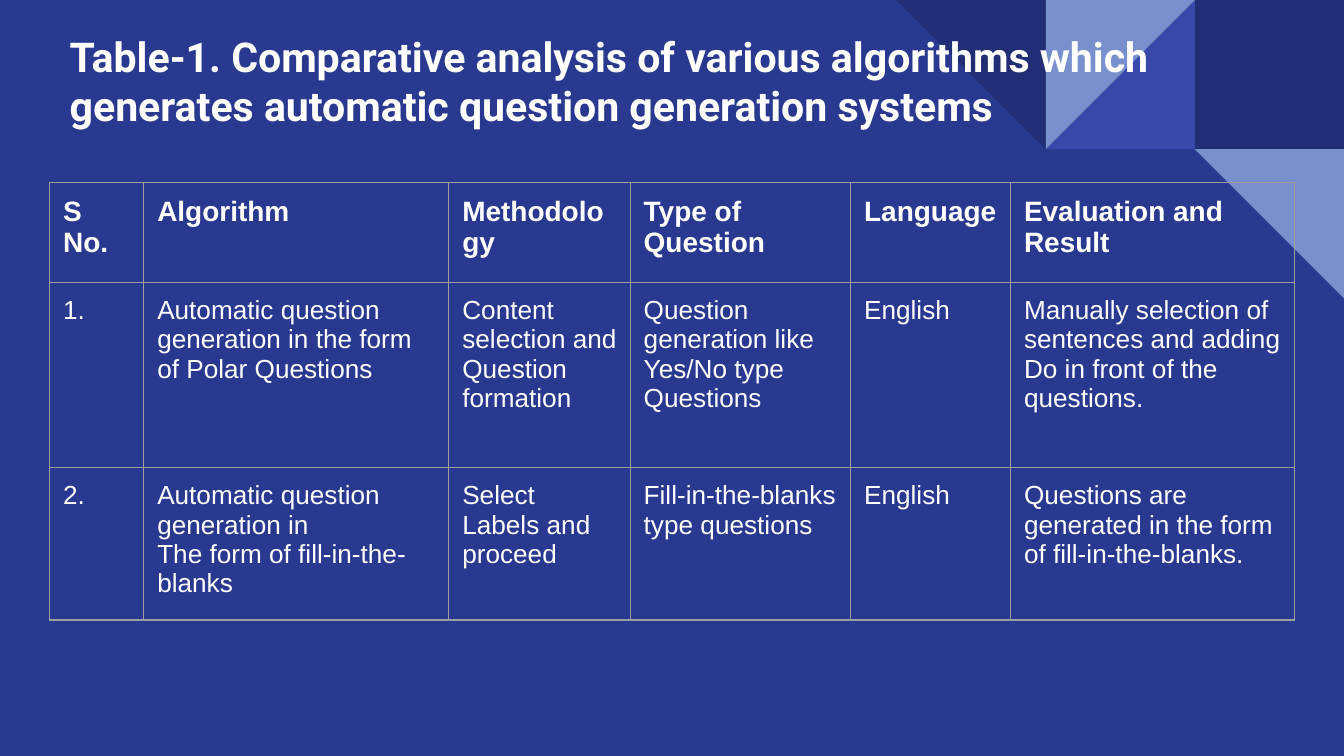
import pptx
import pptx.util
import pptx.dml.color
import pptx.enum.shapes
import pptx.enum.text
import pptx.oxml.ns
import lxml.etree

Inches = pptx.util.Inches
SHAPE = pptx.enum.shapes.MSO_SHAPE
ANCHOR = pptx.enum.text.MSO_ANCHOR

COLORS = {
    "background": "2A3990",
    "navy": "212D74",
    "indigo": "3949AB",
    "sky": "7890CD",
    "text": "FFFFFF",
    "border": "9E9E9E",
}

TITLE = "Table-1. Comparative analysis of various algorithms which generates automatic question generation systems"

ROWS = [
    ("S No.", "Algorithm", "Methodology", "Type of Question", "Language", "Evaluation and Result"),
    ("1.", "Automatic question generation in the form of Polar Questions",
     "Content selection and Question formation",
     "Question generation like Yes/No type Questions", "English",
     "Manually selection of sentences and adding Do in front of the questions."),
    ("2.", "Automatic question generation in\nThe form of fill-in-the-blanks",
     "Select Labels and proceed", "Fill-in-the-blanks type questions", "English",
     "Questions are generated in the form of fill-in-the-blanks."),
]
COLUMN_WIDTHS = [0.7, 2.27, 1.35, 1.64, 1.19, 2.11]
ROW_HEIGHTS = [0.74, 1.38, 0.46]
TABLE_LEFT, TABLE_TOP = 0.37, 1.36

SLIDE_WIDTH = 10
SLIDE_HEIGHT = SLIDE_WIDTH * 9 / 16
TILE = 1.11
TILES = [
    (1, 0, SHAPE.RECTANGLE, 0, "navy"),
    (2, 0, SHAPE.RIGHT_TRIANGLE, 270, "indigo"),
    (2, 0, SHAPE.RIGHT_TRIANGLE, 90, "sky"),
    (3, 0, SHAPE.RIGHT_TRIANGLE, 180, "navy"),
    (1, 1, SHAPE.RIGHT_TRIANGLE, 180, "sky"),
]


def rgb(name):
    return pptx.dml.color.RGBColor.from_string(COLORS[name])


def write_text(text_frame, text, size=14, font="Arial", bold=False, color="text"):
    text_frame.word_wrap = True
    text_frame.text = text
    for paragraph in text_frame.paragraphs:
        for run in paragraph.runs:
            run.font.size = pptx.util.Pt(size)
            run.font.name = font
            run.font.bold = bold
            run.font.color.rgb = rgb(color)


def set_margins(target):
    for side in ("left", "top", "right", "bottom"):
        setattr(target, f"margin_{side}", Inches(0.1))


def add_borders(cell, color="border", width=0.75):
    properties = cell._tc.get_or_add_tcPr()
    qualified = pptx.oxml.ns.qn
    for tag in ("a:lnL", "a:lnR", "a:lnT", "a:lnB"):
        line = lxml.etree.SubElement(properties, qualified(tag), w=str(pptx.util.Pt(width)))
        fill = lxml.etree.SubElement(line, qualified("a:solidFill"))
        lxml.etree.SubElement(fill, qualified("a:srgbClr"), val=COLORS[color])


def add_tiles(slide):
    for columns_from_right, row, kind, rotation, color in TILES:
        shape = slide.shapes.add_shape(
            kind, Inches(SLIDE_WIDTH - columns_from_right * TILE), Inches(row * TILE),
            Inches(TILE), Inches(TILE))
        shape.rotation = rotation
        shape.shadow.inherit = False
        shape.fill.solid()
        shape.fill.fore_color.rgb = rgb(color)
        shape.line.fill.background()


def add_title(slide):
    title = slide.shapes.add_textbox(Inches(0.42), Inches(0.14), Inches(8.99), Inches(0.92))
    set_margins(title.text_frame)
    title.text_frame.vertical_anchor = ANCHOR.MIDDLE
    write_text(title.text_frame, TITLE, size=22, font="Roboto", bold=True)


def add_comparison_table(slide):
    table = slide.shapes.add_table(
        len(ROWS), len(COLUMN_WIDTHS), Inches(TABLE_LEFT), Inches(TABLE_TOP),
        Inches(sum(COLUMN_WIDTHS)), Inches(sum(ROW_HEIGHTS))).table
    table.first_row = False
    table.horz_banding = False
    for column, width in zip(table.columns, COLUMN_WIDTHS):
        column.width = Inches(width)
    for row, height in zip(table.rows, ROW_HEIGHTS):
        row.height = Inches(height)
    for row_index, texts in enumerate(ROWS):
        header = row_index == 0
        for column_index, text in enumerate(texts):
            cell = table.cell(row_index, column_index)
            set_margins(cell)
            add_borders(cell)
            cell.fill.background()
            write_text(cell.text_frame, text, size=15 if header else 14, bold=header)


def main():
    presentation = pptx.Presentation()
    presentation.slide_width = Inches(SLIDE_WIDTH)
    presentation.slide_height = Inches(SLIDE_HEIGHT)
    slide = presentation.slides.add_slide(presentation.slide_layouts[6])
    slide.background.fill.solid()
    slide.background.fill.fore_color.rgb = rgb("background")
    add_tiles(slide)
    add_title(slide)
    add_comparison_table(slide)
    presentation.save("out.pptx")


if __name__ == "__main__":
    main()
